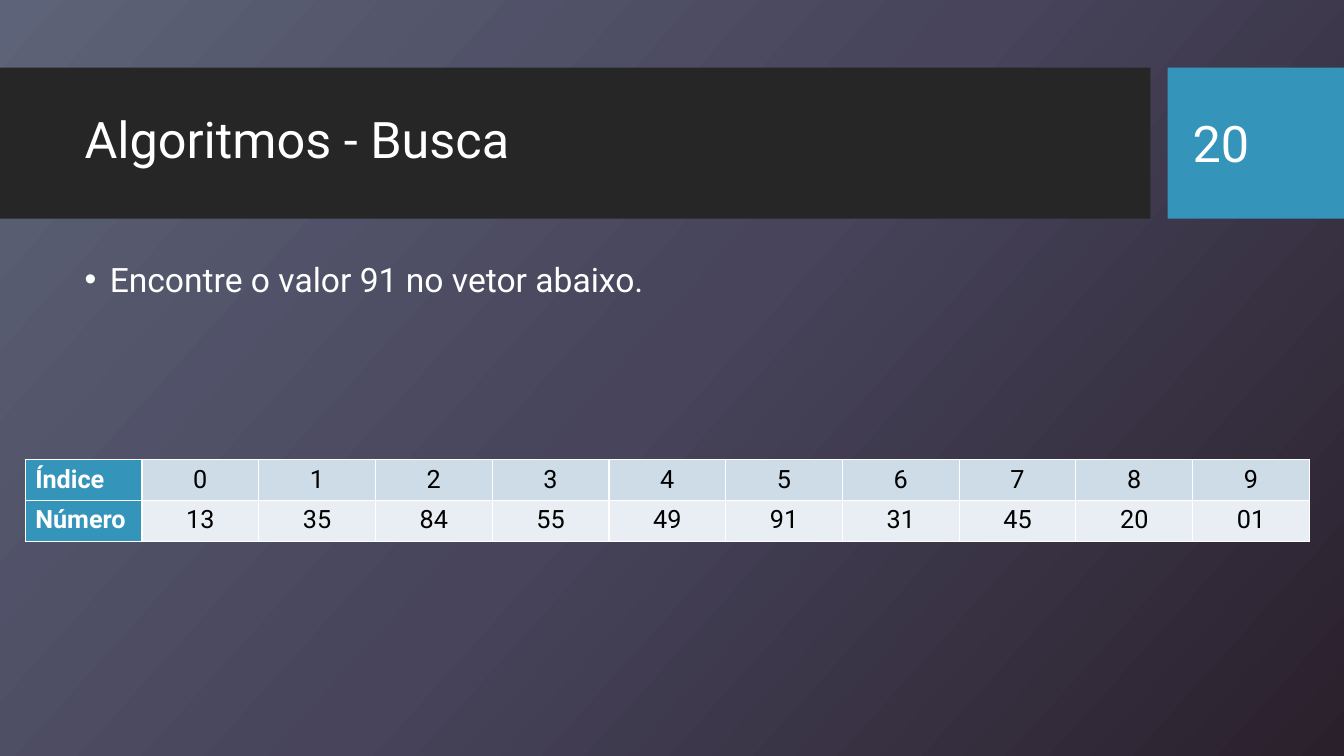
from copy import deepcopy
from dataclasses import dataclass

from pptx import Presentation
from pptx.dml.color import RGBColor
from pptx.enum.shapes import MSO_SHAPE
from pptx.enum.text import MSO_ANCHOR, PP_ALIGN
from pptx.oxml import parse_xml
from pptx.oxml.ns import nsdecls, qn
from pptx.util import Inches, Pt


@dataclass(frozen=True)
class Theme:
    font: str = "Roboto"
    background: tuple = ("5D6378", "47445B", "2A202C")
    band: str = "262626"
    accent: str = "3494BA"
    light: str = "FFFFFF"
    dark: str = "000000"
    row_fills: tuple = ("CEDCE7", "E8EEF3")
    title_size: int = 36
    body_size: int = 24
    table_size: int = 18


theme = Theme()


def add_run(paragraph, text, size, color=theme.light, bold=False):
    run = paragraph.add_run()
    run.text = text
    run.font.name = theme.font
    run.font.size = Pt(size)
    run.font.bold = bold
    run.font.color.rgb = RGBColor.from_string(color)


def add_text(box, text, size, anchor):
    """Add a one-paragraph text box at box and return its paragraph."""
    frame = slide.shapes.add_textbox(*map(Inches, box)).text_frame
    frame.word_wrap = True
    frame.vertical_anchor = anchor
    paragraph = frame.paragraphs[0]
    add_run(paragraph, text, size)
    return paragraph


presentation = Presentation()
presentation.slide_width = Inches(13.33)
presentation.slide_height = Inches(7.5)
slide = presentation.slides.add_slide(presentation.slide_layouts[6])

# Background: three-stop gradient, python-pptx angles run counter-clockwise
background = slide.background.fill
background.gradient()
background.gradient_angle = 360 - 42
first_stop = slide.element.find(".//" + qn("a:gs"))
first_stop.addnext(deepcopy(first_stop))
for index, (stop, color) in enumerate(zip(background.gradient_stops, theme.background)):
    stop.position = index / 2
    stop.color.rgb = RGBColor.from_string(color)

# Header
for left, width, color in ((0, 11.41, theme.band), (11.58, 1.75, theme.accent)):
    band = slide.shapes.add_shape(
        MSO_SHAPE.RECTANGLE, Inches(left), Inches(0.67), Inches(width), Inches(1.5))
    band.shadow.inherit = False
    band.fill.solid()
    band.fill.fore_color.rgb = RGBColor.from_string(color)
    band.line.fill.background()

title = add_text((0.74, 0.82, 10.51, 1.18), "Algoritmos - Busca",
                 theme.title_size, MSO_ANCHOR.MIDDLE)
title.line_spacing = 0.9
add_text((11.73, 0.82, 1.26, 1.19), "20", theme.title_size, MSO_ANCHOR.MIDDLE)

# Task
task = add_text((0.74, 2.56, 10.51, 3.94), "Encontre o valor 91 no vetor abaixo.",
                theme.body_size, MSO_ANCHOR.TOP)
task.line_spacing = 0.9
task_properties = task._p.get_or_add_pPr()
task_properties.set("marL", str(Inches(0.25)))
task_properties.set("indent", str(-Inches(0.25)))
for bullet_part in ('<a:buFont {} typeface="Arial"/>', '<a:buChar {} char="•"/>'):
    task_properties.append(parse_xml(bullet_part.format(nsdecls("a"))))

# Array
numbers = ["13", "35", "84", "55", "49", "91", "31", "45", "20", "01"]
array_rows = [
    ["Índice", *map(str, range(len(numbers)))],
    ["Número", *numbers],
]
array = slide.shapes.add_table(
    len(array_rows), len(array_rows[0]),
    Inches(0.25), Inches(4.56), Inches(12.74), Inches(0.81)).table
array.first_row = False
array.first_col = True
array.horz_banding = False

for row_index, (values, row_fill) in enumerate(zip(array_rows, theme.row_fills)):
    for column_index, value in enumerate(values):
        is_label = column_index == 0
        cell = array.cell(row_index, column_index)
        paragraph = cell.text_frame.paragraphs[0]
        paragraph.alignment = PP_ALIGN.LEFT if is_label else PP_ALIGN.CENTER
        add_run(paragraph, value, theme.table_size,
                theme.light if is_label else theme.dark, is_label)
        cell_properties = cell._tc.get_or_add_tcPr()
        for side in ("lnL", "lnR", "lnT", "lnB"):
            cell_properties.append(parse_xml(
                f'<a:{side} {nsdecls("a")} w="{Pt(1)}"><a:solidFill>'
                f'<a:srgbClr val="{theme.light}"/></a:solidFill></a:{side}>'))
        cell.fill.solid()
        cell.fill.fore_color.rgb = RGBColor.from_string(
            theme.accent if is_label else row_fill)

presentation.save("out.pptx")
